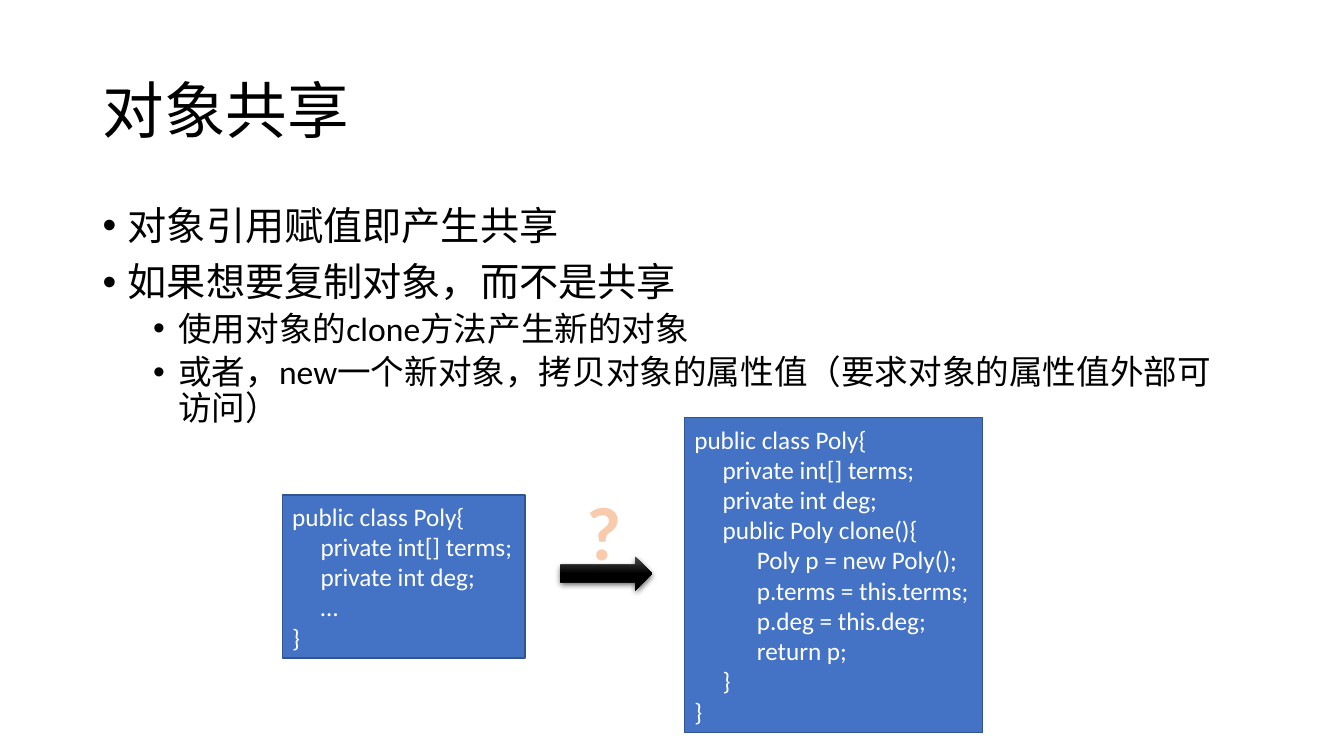
"""Build a slide on object sharing: assignment, cloning and two Java classes."""
from lxml import etree
from pptx import Presentation
from pptx.dml.color import RGBColor
from pptx.enum.shapes import MSO_SHAPE
from pptx.enum.text import MSO_ANCHOR, MSO_AUTO_SIZE, PP_ALIGN
from pptx.oxml.ns import qn
from pptx.util import Emu, Inches, Pt

RECTANGLE, RIGHT_ARROW = MSO_SHAPE.RECTANGLE, MSO_SHAPE.RIGHT_ARROW
MIDDLE, LEFT, CENTER = MSO_ANCHOR.MIDDLE, PP_ALIGN.LEFT, PP_ALIGN.CENTER
FIT_SHAPE = MSO_AUTO_SIZE.SHAPE_TO_FIT_TEXT
BLACK, WHITE = RGBColor(0, 0, 0), RGBColor(255, 255, 255)
GRAY = RGBColor(0x4B, 0x4B, 0x4B)
BLUE, DARK_BLUE = RGBColor(0x44, 0x72, 0xC4), RGBColor(0x32, 0x54, 0x91)
PEACH, ORANGE = RGBColor(0xF8, 0xCB, 0xAD), RGBColor(0xED, 0x7D, 0x31)

presentation = Presentation()
presentation.slide_width, presentation.slide_height = Inches(13.333), Inches(7.5)
COLUMN = presentation.slide_width / 40
ROW = presentation.slide_height / 30
slide = presentation.slides.add_slide(presentation.slide_layouts[6])


def cells(left, top, width, height):
    """Turn grid columns and rows into slide lengths."""
    return [Emu(round(count * unit)) for count, unit in
            zip((left, top, width, height), (COLUMN, ROW, COLUMN, ROW))]


def write(paragraph, text, size, color, bold=False, **layout):
    """Write one formatted run and return it."""
    for name, value in layout.items():
        setattr(paragraph, name, value)
    run = paragraph.add_run()
    run.text = text
    for name, value in {"name": "Calibri", "size": Pt(size), "bold": bold}.items():
        setattr(run.font, name, value)
    run.font.color.rgb = color
    return run


title = slide.shapes.add_textbox(*cells(2.76, 1.6, 34.5, 5.8)).text_frame
title.word_wrap, title.vertical_anchor = True, MIDDLE
write(title.paragraphs[0], "对象共享", 44, BLACK, line_spacing=0.9)

body = slide.shapes.add_textbox(*cells(2.76, 8, 34.5, 11.08)).text_frame
body.word_wrap = True
bullets = [
    (0, "对象引用赋值即产生共享"),
    (0, "如果想要复制对象，而不是共享"),
    (1, "使用对象的clone方法产生新的对象"),
    (1, "或者，new一个新对象，拷贝对象的属性值（要求对象的属性值外部可访问）"),
]
for index, (level, text) in enumerate(bullets):
    paragraph = body.add_paragraph() if index else body.paragraphs[0]
    properties = paragraph._p.get_or_add_pPr()
    properties.set("marL", str(Inches(0.25 + 0.5 * level)))
    properties.set("indent", str(-Inches(0.25)))
    etree.SubElement(properties, qn("a:buFont"), typeface="Arial")
    etree.SubElement(properties, qn("a:buChar"), char="•")
    write(paragraph, text, 28 - 4 * level, BLACK, level=level, line_spacing=0.9,
          space_before=Pt(10 - 5 * level if index else 0))

poly_class = """public class Poly{
     private int[] terms;
     private int deg;
     …
}"""
cloneable_class = """public class Poly{
     private int[] terms;
     private int deg;
     public Poly clone(){
           Poly p = new Poly();
           p.terms = this.terms;
           p.deg = this.deg;
           return p;
     }
}"""
code_boxes = [
    (poly_class, (8.4, 19.64, 7.23, 6.48)),
    (cloneable_class, (20.37, 16.56, 8.88, 12.52)),
]
for code, place in code_boxes:
    box = slide.shapes.add_shape(RECTANGLE, *cells(*place))
    box.shadow.inherit = False
    box.fill.solid()
    box.fill.fore_color.rgb = BLUE
    box.line.color.rgb, box.line.width = DARK_BLUE, Pt(1)
    frame = box.text_frame
    frame.word_wrap, frame.auto_size = False, FIT_SHAPE
    for index, line in enumerate(code.split("\n")):
        paragraph = frame.add_paragraph() if index else frame.paragraphs[0]
        write(paragraph, line, 18, WHITE, alignment=LEFT)

arrow = slide.shapes.add_shape(RIGHT_ARROW, *cells(16.68, 22.08, 2.73, 1.36))
arrow.line.fill.background()
arrow.fill.gradient()
arrow.fill.gradient_angle = 270
for stop, position, color in zip(arrow.fill.gradient_stops, (0, 0.5), (GRAY, BLACK)):
    stop.position, stop.color.rgb = position, color
arrow.shadow.inherit = False
effects = arrow._element.spPr.find(qn("a:effectLst"))
shadow = etree.SubElement(effects, qn("a:outerShdw"), blurRad=str(Pt(4.5)),
                          dist=str(Pt(1.5)), dir="5400000", rotWithShape="0")
shadow_color = etree.SubElement(shadow, qn("a:srgbClr"), val=str(BLACK))
etree.SubElement(shadow_color, qn("a:alpha"), val="63000")

question = slide.shapes.add_textbox(*cells(17.16, 19.04, 1.65, 4.04)).text_frame
question.word_wrap, question.auto_size = False, FIT_SHAPE
mark = write(question.paragraphs[0], "?", 54, PEACH, bold=True, alignment=CENTER)
outline = etree.Element(qn("a:ln"), w=str(Pt(1.75)))
outline_fill = etree.SubElement(outline, qn("a:solidFill"))
etree.SubElement(outline_fill, qn("a:srgbClr"), val=str(ORANGE))
mark._r.get_or_add_rPr().insert(0, outline)

presentation.save("out.pptx")
